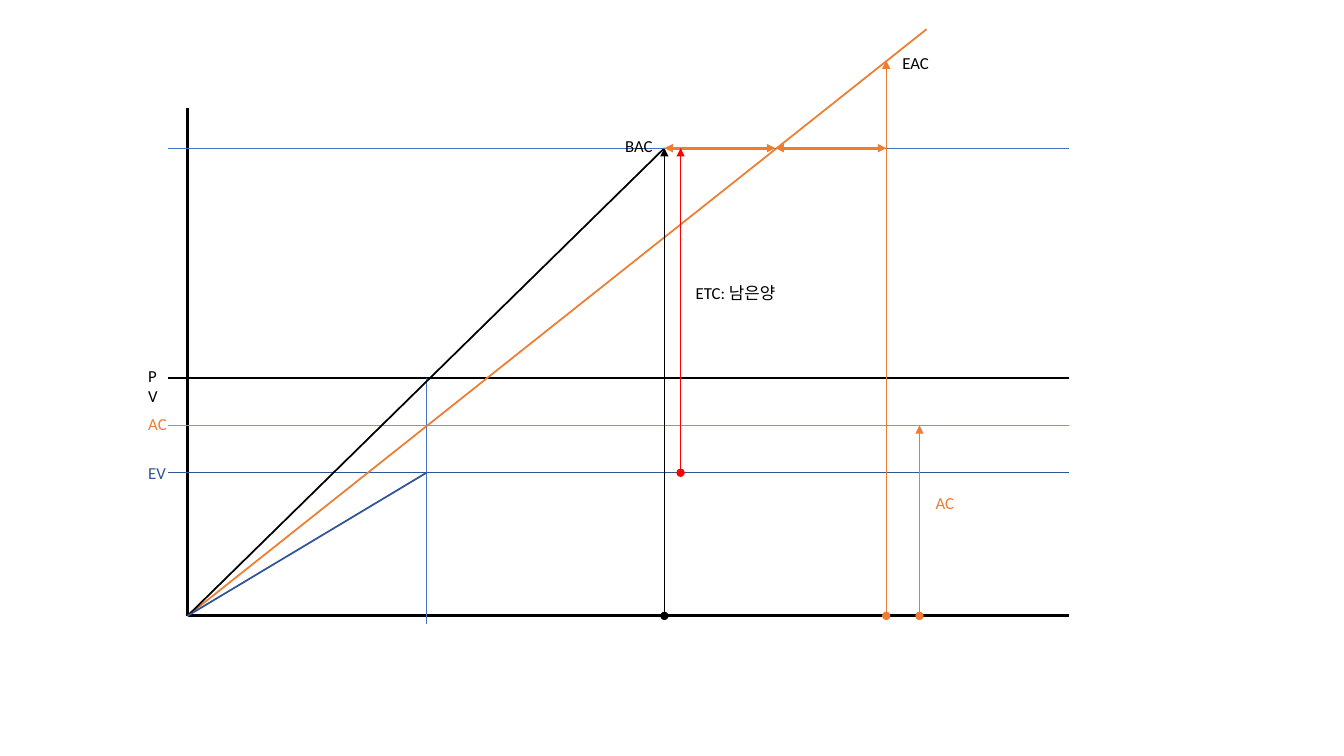
from lxml import etree
from pptx import Presentation
from pptx.dml.color import RGBColor
from pptx.enum import shapes, text
from pptx.oxml import ns
from pptx.util import Inches, Pt

COLORS = {"black": "000000", "orange": "ED7D31", "navy": "2F5597",
          "blue": "4472C4", "red": "FF0000"}

# Chart positions in inches
ORIGIN_X, RIGHT, LEVEL_LEFT = 1.86, 10.6, 1.67
BASE, PV, AC, EV, BAC, EAC = 6.11, 3.75, 4.22, 4.69, 1.47, 0.6
TODAY, PLANNED_END, MIDPOINT, FORECAST_END = 4.23, 6.59, 7.69, 8.79
ETC_X, AC_X = 6.75, 9.12
ORIGIN = (ORIGIN_X, BASE)
ARROW, DOUBLE = ("triangle", "oval"), ("triangle", "triangle")


def level(y, color, width):
    return (LEVEL_LEFT, y), (RIGHT, y), color, width, ()


def measure(x, top, bottom, color):
    return (x, top), (x, bottom), color, 1, ARROW


# Start, end, color, width in points, end markers
AXES = [
    ((ORIGIN_X, 1.07), ORIGIN, "black", 2, ()),
    ((RIGHT, BASE), ORIGIN, "black", 2, ()),
]
LINES = [
    level(PV, "black", 1),
    level(AC, "orange", 1),
    level(EV, "navy", 1),
    ((TODAY, PV), (TODAY, 6.19), "blue", 1, ()),
    ((9.19, 0.29), ORIGIN, "orange", 1.25, ()),
    ((PLANNED_END, BAC), ORIGIN, "black", 1.25, ()),
    ((TODAY, EV), ORIGIN, "navy", 1.25, ()),
    measure(PLANNED_END, BAC, BASE, "black"),
    level(BAC, "blue", 0.5),
    ((FORECAST_END, BAC), (MIDPOINT, BAC), "orange", 2, DOUBLE),
    measure(FORECAST_END, EAC, BASE, "orange"),
    ((MIDPOINT, BAC), (PLANNED_END, BAC), "orange", 2, DOUBLE),
    measure(ETC_X, BAC, EV, "red"),
    measure(AC_X, AC, BASE, "orange"),
]

# Wording, left, top, width, height, color, wrap
LABELS = [
    ("PV", 1.39, 3.59, 0.31, 0.31, "black", True),
    ("AC", 1.39, 4.06, 0.35, 0.28, "orange", False),
    ("EV", 1.39, 4.55, 0.34, 0.28, "navy", False),
    ("BAC", 6.12, 1.31, 0.46, 0.28, "black", False),
    ("EAC", 8.87, 0.48, 0.46, 0.28, "black", False),
    ("ETC: 남은양", 6.82, 2.76, 1, 0.28, "black", False),
    ("AC", 9.2, 4.85, 0.93, 0.28, "orange", True),
]


def add_line(container, start, end, color, width, markers):
    points = [Inches(value) for value in start + end]
    line = container.add_connector(shapes.MSO_CONNECTOR.STRAIGHT, *points)
    line.line.color.rgb = RGBColor.from_string(COLORS[color])
    line.line.width = Pt(width)
    properties = line.line._get_or_add_ln()
    for tag, marker in zip(("a:headEnd", "a:tailEnd"), markers):
        etree.SubElement(properties, ns.qn(tag), type=marker)
    etree.SubElement(line._element.spPr, ns.qn("a:effectLst"))


def add_label(slide, wording, left, top, width, height, color, wrap):
    box = slide.shapes.add_textbox(*map(Inches, (left, top, width, height)))
    frame = box.text_frame
    frame.text = wording
    frame.word_wrap = wrap
    frame.auto_size = text.MSO_AUTO_SIZE.SHAPE_TO_FIT_TEXT
    frame.margin_left = frame.margin_right = Inches(0.08)
    frame.margin_top = frame.margin_bottom = Inches(0.04)
    font = frame.paragraphs[0].runs[0].font
    font.name, font.size = "Calibri", Pt(12)
    font.color.rgb = RGBColor.from_string(COLORS[color])


presentation = Presentation()
presentation.slide_width, presentation.slide_height = Inches(13.33), Inches(7.5)
slide = presentation.slides.add_slide(presentation.slide_layouts[6])

# Axes stay together as one group
axes = slide.shapes.add_group_shape()
for axis in AXES:
    add_line(axes.shapes, *axis)

# Levels, progress lines and measures, then their labels
for line in LINES:
    add_line(slide.shapes, *line)
for label in LABELS:
    add_label(slide, *label)

presentation.save("out.pptx")
